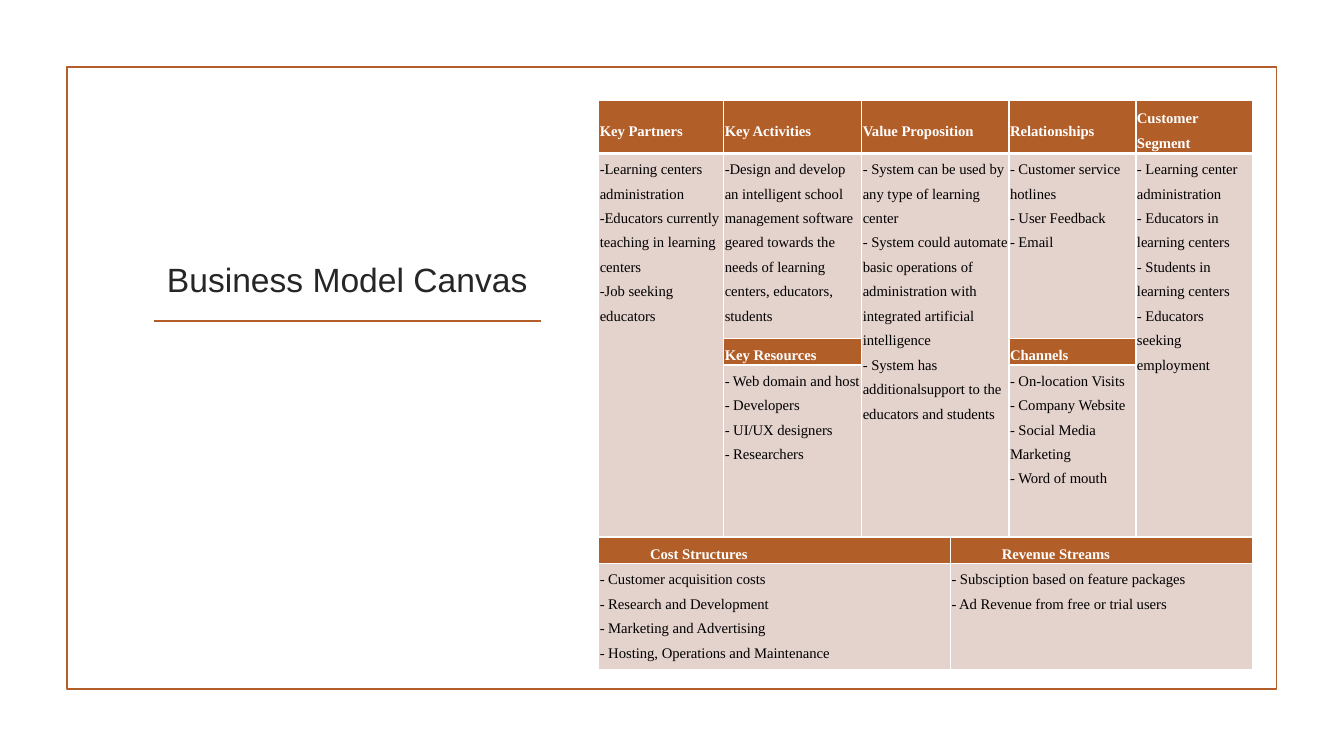
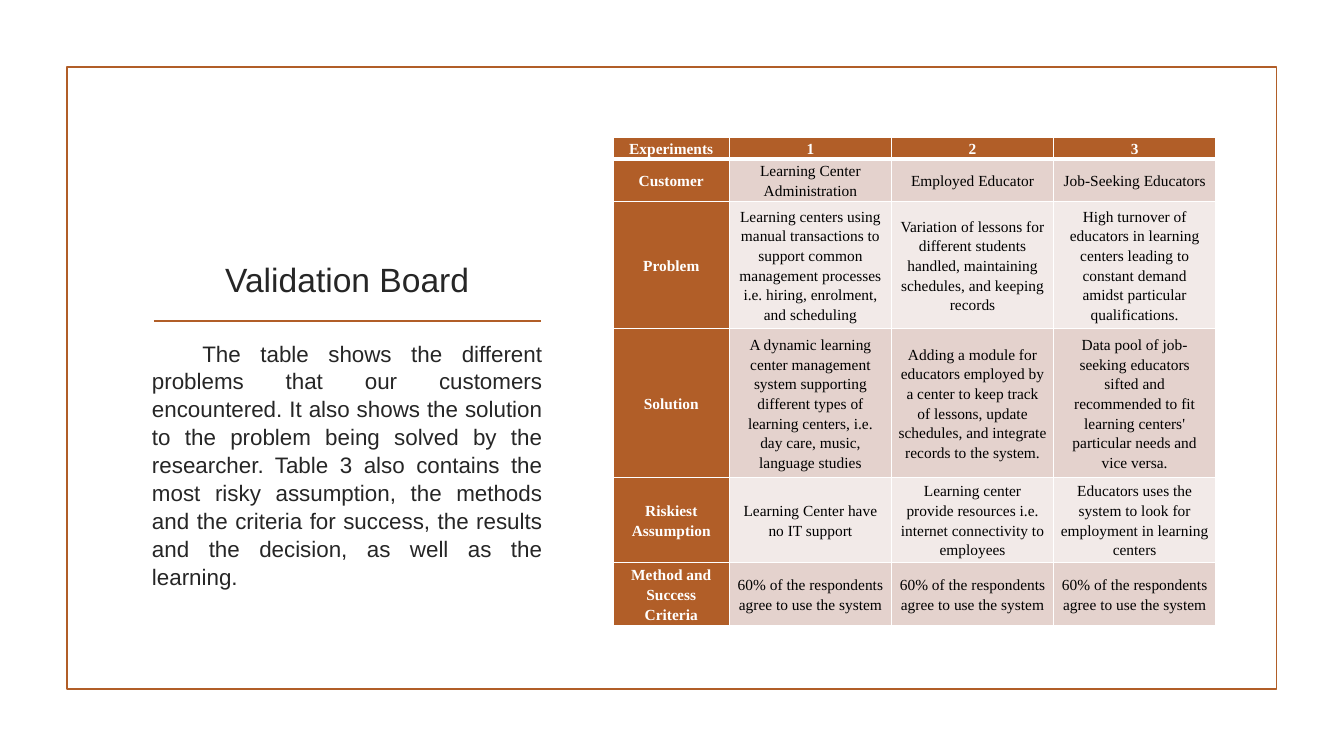
from dataclasses import dataclass

from lxml.etree import SubElement
from pptx import Presentation
from pptx.dml.color import RGBColor
from pptx.enum.shapes import MSO_CONNECTOR as Connector, MSO_SHAPE as Shape
from pptx.enum.text import MSO_ANCHOR as Anchor, PP_ALIGN as Align
from pptx.oxml.ns import qn
from pptx.util import Pt


@dataclass(frozen=True)
class Theme:
    accent: str = "B15E28"
    band: str = "E4D2CD"
    light_band: str = "F2EAE8"
    white: str = "FFFFFF"
    black: str = "000000"
    ink: str = "262626"
    sans: str = "Arial"
    serif: str = "Times New Roman"
    title_size: float = 24
    body_size: float = 16
    line: float = 1.25
    border: float = 1
    header_border: float = 3
    indent: float = 36


@dataclass(frozen=True)
class TableStyle:
    size: float
    spacing: float
    side_margin: float
    align: Align
    body_anchor: Anchor


@dataclass(frozen=True)
class Block:
    """One canvas cell, with the rows and columns it spans."""
    row: int
    column: int
    text: str
    heading: bool = False
    rows: int = 1
    columns: int = 1
    indent: float = 0


THEME = Theme()
CANVAS_STYLE = TableStyle(10.5, 1.5, 0.72, Align.LEFT, Anchor.TOP)
BOARD_STYLE = TableStyle(11, 1.15, 5, Align.CENTER, Anchor.MIDDLE)

CANVAS_COLUMNS = [89.3, 98.6, 63.4, 41.8, 90.7, 83.5]
CANVAS_ROWS = [34.3, 122.9, 17.4, 122.9, 17.4, 69]
CANVAS_BLOCKS = [
    Block(0, 0, "Key Partners", heading=True),
    Block(0, 1, "Key Activities", heading=True),
    Block(0, 2, "Value Proposition", heading=True, columns=2),
    Block(0, 4, "Relationships", heading=True),
    Block(0, 5, "Customer Segment", heading=True),
    Block(1, 0, "-Learning centers administration\n"
                "-Educators currently teaching in learning centers\n"
                "-Job seeking educators", rows=3),
    Block(1, 1, "-Design and develop an intelligent school management software "
                "geared towards the needs of learning centers, educators, students"),
    Block(1, 2, "- System can be used by any type of learning center\n"
                "- System could automate basic operations of administration "
                "with integrated artificial intelligence\n"
                "- System has additionalsupport to the educators and students",
          rows=3, columns=2),
    Block(1, 4, "- Customer service hotlines\n- User Feedback\n- Email"),
    Block(1, 5, "- Learning center administration\n"
                "- Educators in learning centers\n"
                "- Students in learning centers\n"
                "- Educators seeking employment", rows=3),
    Block(2, 1, "Key Resources", heading=True),
    Block(2, 4, "Channels", heading=True),
    Block(3, 1, "- Web domain and host\n- Developers\n- UI/UX designers\n- Researchers"),
    Block(3, 4, "- On-location Visits\n- Company Website\n"
                "- Social Media Marketing\n- Word of mouth"),
    Block(4, 0, "Cost Structures", heading=True, columns=3, indent=THEME.indent),
    Block(4, 3, "Revenue Streams", heading=True, columns=3, indent=THEME.indent),
    Block(5, 0, "- Customer acquisition costs\n- Research and Development\n"
                "- Marketing and Advertising\n- Hosting, Operations and Maintenance",
          columns=3),
    Block(5, 3, "- Subsciption based on feature packages\n"
                "- Ad Revenue from free or trial users", columns=3),
]

BOARD_COLUMNS = [83] + [115.8] * 3
BOARD_ROWS = [13.7, 28.1, 86.6, 101.5, 57.6, 41.6]
BOARD = [
    ["Experiments", "1", "2", "3"],
    ["Customer", "Learning Center Administration", "Employed Educator",
     "Job-Seeking Educators"],
    ["Problem",
     "Learning centers using manual transactions to support common management "
     "processes i.e. hiring, enrolment, and scheduling",
     "Variation of lessons for different students handled, maintaining schedules, "
     "and keeping records",
     "High turnover of educators in learning centers leading to constant demand "
     "amidst particular qualifications."],
    ["Solution",
     "A dynamic learning center management system supporting different types of "
     "learning centers, i.e. day care, music, language studies",
     "Adding a module for educators employed by a center to keep track of lessons, "
     "update schedules, and integrate records to the system.",
     "Data pool of job-seeking educators sifted and recommended to fit learning "
     "centers' particular needs and vice versa."],
    ["Riskiest Assumption", "Learning Center have no IT support",
     "Learning center provide resources i.e. internet connectivity to employees",
     "Educators uses the system to look for employment in learning centers"],
    ["Method and Success Criteria"]
    + ["60% of the respondents agree to use the system"] * 3,
]
BOARD_SUMMARY = (
    "The table shows the different problems that our customers encountered. It also "
    "shows the solution to the problem being solved by the researcher. Table 3 also "
    "contains the most risky assumption, the methods and the criteria for success, "
    "the results and the decision, as well as the learning."
)


def color(value):
    return RGBColor.from_string(value)


def format_paragraph(para, font, size, ink, align, spacing=1, bold=False, indent=0):
    para.alignment = align
    para.line_spacing = spacing
    if indent:
        para._p.get_or_add_pPr().set("indent", str(Pt(indent)))
    for span in para.runs:
        span.font.name = font
        span.font.size = Pt(size)
        span.font.bold = bold
        span.font.color.rgb = color(ink)


def add_text(slide, text, top, height, size, align, anchor, spacing=1, indent=0):
    box = slide.shapes.add_textbox(Pt(101.5), Pt(top), Pt(293), Pt(height))
    frame = box.text_frame
    frame.word_wrap = True
    frame.vertical_anchor = anchor
    frame.text = text
    format_paragraph(frame.paragraphs[0], THEME.sans, size, THEME.ink, align,
                     spacing, indent=indent)


def add_titled_slide(deck, title):
    """Add a slide with the shared frame, title and rule under the title."""
    slide = deck.slides.add_slide(deck.slide_layouts[6])
    frame = slide.shapes.add_shape(Shape.RECTANGLE, Pt(47.8), Pt(48), Pt(864), Pt(444))
    frame.shadow.inherit = False
    frame.fill.background()
    rule = slide.shapes.add_connector(Connector.STRAIGHT, Pt(110), Pt(229.4),
                                      Pt(386.5), Pt(229.4))
    SubElement(rule._element.spPr, qn("a:effectLst"))
    for outlined in (frame, rule):
        outlined.line.color.rgb = color(THEME.accent)
        outlined.line.width = Pt(THEME.line)
    add_text(slide, title, 109.4, 108, THEME.title_size, Align.CENTER, Anchor.BOTTOM)
    return slide


def set_borders(cell, row):
    """Draw white borders, heavier between the first and second rows."""
    widths = dict.fromkeys(("lnL", "lnR", "lnT", "lnB"), THEME.border)
    if row < 2:
        widths["lnT" if row else "lnB"] = THEME.header_border
    properties = cell._tc.get_or_add_tcPr()
    for side, width in widths.items():
        line = SubElement(properties, qn(f"a:{side}"), w=str(Pt(width)))
        fill = SubElement(line, qn("a:solidFill"))
        SubElement(fill, qn("a:srgbClr"), val=THEME.white)


def add_table(slide, left, top, columns, rows):
    table = slide.shapes.add_table(len(rows), len(columns), Pt(left), Pt(top),
                                   Pt(sum(columns)), Pt(sum(rows))).table
    table.horz_banding = False
    for column, width in zip(table.columns, columns):
        column.width = Pt(width)
    for index, (row, height) in enumerate(zip(table.rows, rows)):
        row.height = Pt(height)
        for cell in row.cells:
            set_borders(cell, index)
    return table


def fill_cell(cell, text, style, heading, band, indent=0):
    cell.margin_left = cell.margin_right = Pt(style.side_margin)
    cell.margin_top = cell.margin_bottom = 0
    cell.vertical_anchor = Anchor.MIDDLE if heading else style.body_anchor
    cell.fill.solid()
    cell.fill.fore_color.rgb = color(THEME.accent if heading else band)
    cell.text_frame.text = text
    for para in cell.text_frame.paragraphs:
        format_paragraph(para, THEME.serif, style.size,
                         THEME.white if heading else THEME.black,
                         style.align, style.spacing, heading, indent)


def add_canvas(slide):
    table = add_table(slide, 427.7, 71.8, CANVAS_COLUMNS, CANVAS_ROWS)
    for block in CANVAS_BLOCKS:
        cell = table.cell(block.row, block.column)
        if block.rows * block.columns > 1:
            cell.merge(table.cell(block.row + block.rows - 1,
                                  block.column + block.columns - 1))
        fill_cell(cell, block.text, CANVAS_STYLE, block.heading, THEME.band, block.indent)


def add_board(slide):
    table = add_table(slide, 438, 98.2, BOARD_COLUMNS, BOARD_ROWS)
    for row, texts in enumerate(BOARD):
        band = THEME.band if row % 2 else THEME.light_band
        for column, text in enumerate(texts):
            heading = row == 0 or column == 0
            fill_cell(table.cell(row, column), text, BOARD_STYLE, heading, band)


def main():
    deck = Presentation()
    deck.slide_width, deck.slide_height = Pt(960), Pt(540)
    add_canvas(add_titled_slide(deck, "Business Model Canvas"))
    board_slide = add_titled_slide(deck, "Validation Board")
    add_board(board_slide)
    add_text(board_slide, BOARD_SUMMARY, 238.3, 192, THEME.body_size, Align.JUSTIFY,
             Anchor.TOP, spacing=1.04, indent=THEME.indent)
    deck.save("out.pptx")


if __name__ == "__main__":
    main()
